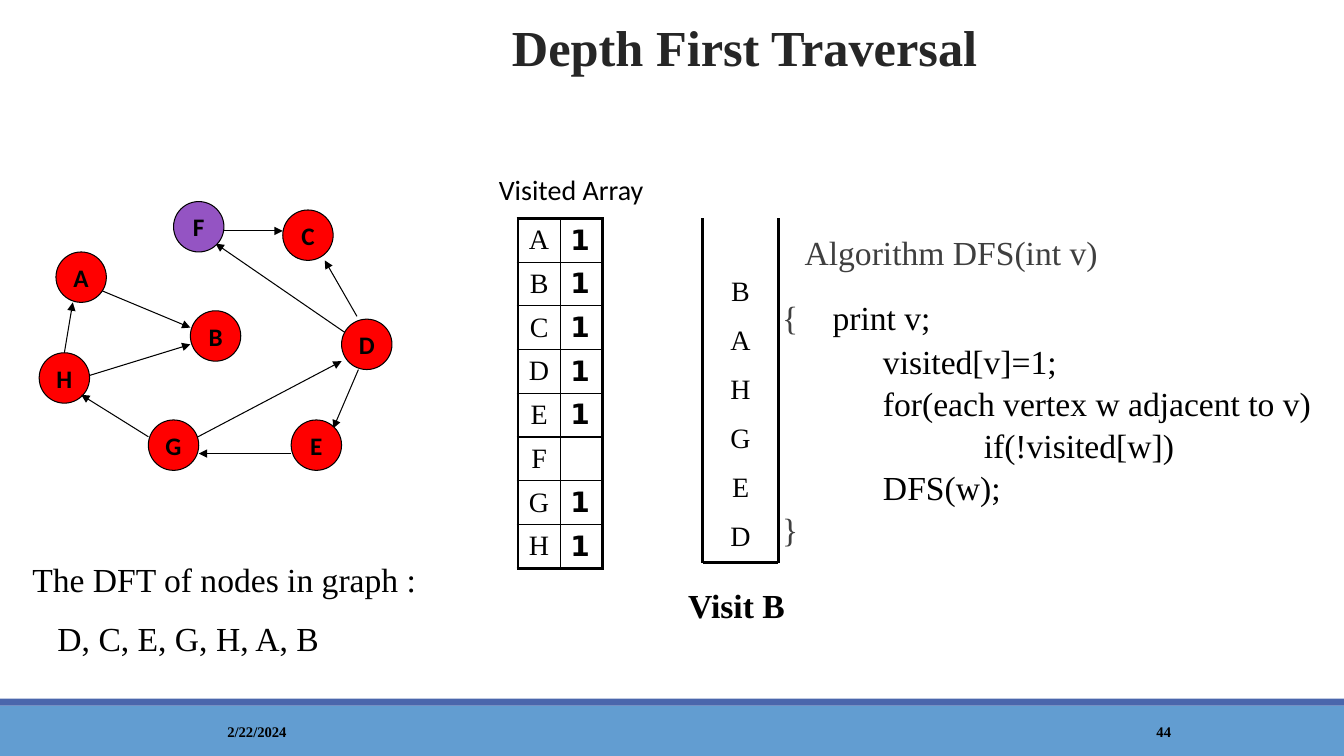
from dataclasses import dataclass
from pptx import Presentation
from pptx.dml.color import RGBColor
from pptx.enum.shapes import MSO_CONNECTOR, MSO_SHAPE
from pptx.enum.text import MSO_ANCHOR, PP_ALIGN
from pptx.oxml.ns import qn
from pptx.util import Pt
from lxml.etree import SubElement

TITLE = "Depth First Traversal"
VISITED = {"A": "1", "B": "1", "C": "1", "D": "1", "E": "1", "F": "", "G": "1", "H": "1"}
STACK = ["B", "A", "H", "G", "E", "D"]
NODES = {"A": (40, 180), "H": (28, 252), "B": (136, 222), "F": (124, 144),
         "E": (208, 300), "D": (244, 228), "C": (202, 150), "G": (106, 300)}
CURRENT = "F"
EDGES_BEHIND = [
    ((250, 240), (154, 174)), ((256, 264), (238, 306)), ((58, 270), (136, 246)),
    ((130, 318), (244, 258)), ((46, 252), (52, 216)), ((64, 204), (136, 234)),
    ((255, 226), (232, 186)),
]
EDGES_FRONT = [((208, 324), (142, 324)), ((106, 312), (58, 282)), ((160, 165), (202, 165))]


@dataclass(frozen=True)
class Theme:
    serif: str = "Times New Roman"
    sans: str = "Calibri"
    mark: str = "DejaVu Sans"
    black: str = "000000"
    title: str = "262626"
    muted: str = "3F3F3F"
    visited: str = "FF0000"
    current: str = "9454C3"
    band: str = "629DD1"
    stripe: str = "4A66AC"
    title_size: float = 36
    body_size: float = 24
    cell_size: float = 20
    node_size: float = 18
    footer_size: float = 10.5
    thin: float = 0.75
    grid: float = 1
    thick: float = 2.25


THEME = Theme()
ALGORITHM = [
    {"runs": [("Algorithm DFS(int v)", THEME.muted)], "indent": 16},
    {"runs": [("{\t", THEME.muted), ("print v;", THEME.black)], "before": 16, "tab": 77},
    {"runs": [("visited[v]=1;", THEME.black)], "before": 2, "indent": 72},
    {"runs": [("for(each vertex w adjacent to v)", THEME.black)], "indent": 72},
    {"runs": [("if(!visited[w])", THEME.black)], "indent": 144},
    {"runs": [("DFS(w);", THEME.black)], "indent": 72},
    {"runs": [("}", THEME.muted)]},
]
TRAVERSAL = [
    {"runs": [("The DFT of nodes in graph :", THEME.black)]},
    {"runs": [("D, C, E, G, H, A, B", THEME.black)], "before": 13, "indent": 18},
]


def write(frame, text, size=THEME.body_size, font=THEME.serif, color=THEME.black, bold=False,
          align=PP_ALIGN.LEFT, anchor=MSO_ANCHOR.TOP, insets=(7.2, 3.6), before=0, spacing=1):
    frame.word_wrap = True
    frame.vertical_anchor = anchor
    frame.margin_left = frame.margin_right = Pt(insets[0])
    frame.margin_top = frame.margin_bottom = Pt(insets[1])
    lines = [{"runs": [(text, color)]}] if isinstance(text, str) else text
    for index, line in enumerate(lines):
        paragraph = frame.paragraphs[0] if index == 0 else frame.add_paragraph()
        properties = paragraph._p.get_or_add_pPr()
        properties.set("marL", str(Pt(line.get("indent", 0))))
        properties.set("indent", "0")
        paragraph.alignment = align
        paragraph.line_spacing = spacing
        paragraph.space_before = Pt(line.get("before", before) if index else 0)
        paragraph.space_after = Pt(0)
        if "tab" in line:
            tabs = SubElement(properties, qn("a:tabLst"))
            SubElement(tabs, qn("a:tab"), pos=str(Pt(line["tab"])), algn="l")
        paragraph.font.size = Pt(size)
        for words, tint in line["runs"]:
            if not words:
                continue
            run = paragraph.add_run()
            run.text = words
            run.font.size = Pt(size)
            run.font.name = font
            run.font.bold = bold
            run.font.color.rgb = RGBColor.from_string(tint)


def add_text(slide, box, text, **style):
    label = slide.shapes.add_textbox(*map(Pt, box))
    write(label.text_frame, text, **style)


def add_block(slide, preset, box, fill, outline=None):
    block = slide.shapes.add_shape(preset, *map(Pt, box))
    block.shadow.inherit = False
    block.fill.solid()
    block.fill.fore_color.rgb = RGBColor.from_string(fill)
    if outline:
        block.line.color.rgb = RGBColor.from_string(outline)
        block.line.width = Pt(THEME.thin)
    else:
        block.line.fill.background()
    return block


def add_line(slide, start, end, width=THEME.thin, arrow=False):
    line = slide.shapes.add_connector(MSO_CONNECTOR.STRAIGHT, *map(Pt, (*start, *end)))
    line.line.color.rgb = RGBColor.from_string(THEME.black)
    line.line.width = Pt(width)
    if arrow:
        SubElement(line.line._get_or_add_ln(), qn("a:tailEnd"), type="triangle")
    SubElement(line._element.spPr, qn("a:effectLst"))


def add_borders(cell, **widths):
    properties = cell._tc.get_or_add_tcPr()
    for side in "LRTB":
        border = SubElement(properties, qn(f"a:ln{side}"), w=str(Pt(widths[side])))
        fill = SubElement(border, qn("a:solidFill"))
        SubElement(fill, qn("a:srgbClr"), val=THEME.black)


def add_graph(slide):
    for start, end in EDGES_BEHIND:
        add_line(slide, start, end, arrow=True)
    for name, corner in NODES.items():
        fill = THEME.current if name == CURRENT else THEME.visited
        node = add_block(slide, MSO_SHAPE.OVAL, (*corner, 36, 36), fill, THEME.black)
        write(node.text_frame, name, size=THEME.node_size, font=THEME.sans, bold=True,
              align=PP_ALIGN.CENTER, anchor=MSO_ANCHOR.MIDDLE, insets=(0, 0))
    for start, end in EDGES_FRONT:
        add_line(slide, start, end, arrow=True)


def add_visited_array(slide):
    column, row_height, count = 30.2, 30.3, len(VISITED)
    box = (370, 156, 2 * column, count * row_height)
    table = slide.shapes.add_table(count, 2, *map(Pt, box)).table
    table.first_row = table.horz_banding = False
    for part in table.columns:
        part.width = Pt(column)
    for row, entry in enumerate(VISITED.items()):
        table.rows[row].height = Pt(row_height)
        for col, text in enumerate(entry):
            cell = table.cell(row, col)
            write(cell.text_frame, text, size=THEME.cell_size, bold=col == 1,
                  font=(THEME.serif, THEME.mark)[col],
                  align=(PP_ALIGN.CENTER, PP_ALIGN.LEFT)[col])
            cell.vertical_anchor = MSO_ANCHOR.MIDDLE
            outer = {"L": col == 0, "R": col == 1, "T": row == 0, "B": row == count - 1}
            add_borders(cell, **{side: THEME.thick if edge else THEME.grid
                                 for side, edge in outer.items()})
            cell.fill.background()


def add_stack(slide):
    left, right, top, bottom = 502, 556, 156, 402
    corners = [(left, top), (left, bottom), (right, bottom), (right, top)]
    for start, end in zip(corners, corners[1:]):
        add_line(slide, start, end, THEME.thick)
    add_text(slide, (left, 192, right - left, bottom - 192),
             [{"runs": [(name, THEME.black)]} for name in STACK],
             size=THEME.cell_size, align=PP_ALIGN.CENTER, before=11)


def main():
    deck = Presentation()
    deck.slide_width, deck.slide_height = Pt(960), Pt(540)
    slide = deck.slides.add_slide(deck.slide_layouts[5])
    add_block(slide, MSO_SHAPE.RECTANGLE, (0, 504, 960, 36), THEME.band)
    add_block(slide, MSO_SHAPE.RECTANGLE, (0, 499, 960, 5), THEME.stripe)
    title = slide.shapes.title
    title.left, title.top, title.width, title.height = map(Pt, (124, 14.4, 816, 53))
    write(title.text_frame, TITLE, size=THEME.title_size, color=THEME.title, bold=True,
          align=PP_ALIGN.CENTER, spacing=0.85)
    add_graph(slide)
    add_text(slide, (349.2, 120, 132, 31), "Visited Array", size=THEME.cell_size, font=THEME.sans)
    add_visited_array(slide)
    add_stack(slide)
    add_text(slide, (352, 414, 348, 36), "Visit B", bold=True, align=PP_ALIGN.CENTER)
    add_text(slide, (16, 396, 324, 80), TRAVERSAL)
    add_text(slide, (558.7, 161.3, 389.5, 229), ALGORITHM, insets=(0, 3.6), spacing=1.04)
    for box, text in [((86.4, 508.3, 194.4, 28.8), "2/22/2024"), ((779.8, 508.3, 103, 28.8), "44")]:
        add_text(slide, box, text, size=THEME.footer_size, bold=True,
                 align=PP_ALIGN.CENTER, anchor=MSO_ANCHOR.MIDDLE)
    deck.save("out.pptx")


if __name__ == "__main__":
    main()
